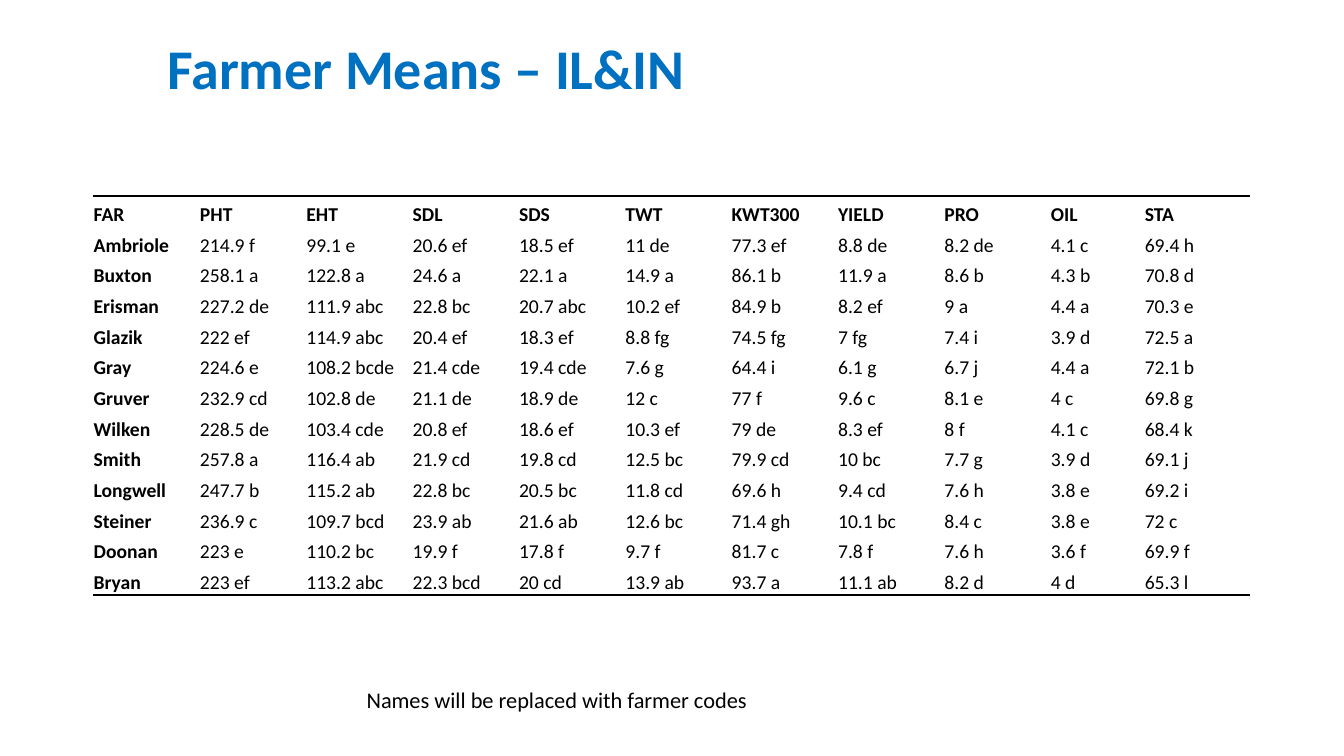
from lxml import etree
from pptx import Presentation
from pptx import util as u
from pptx.dml import color
from pptx.enum import text
from pptx.oxml import ns

COLORS = {"title": "0070C0", "ink": "000000", "paper": "FFFFFF"}
FONT = "Calibri"
NO_STYLE = "{2D5ABB26-0587-4C30-8999-92F81FD0307C}"
COLUMN_WIDTHS = [2.68] * 9 + [2.37, 2.68]
MEANS = [
    "FAR|PHT|EHT|SDL|SDS|TWT|KWT300|YIELD|PRO|OIL|STA",
    "Ambriole|214.9 f|99.1 e|20.6 ef|18.5 ef|11 de|77.3 ef|8.8 de|8.2 de|4.1 c|69.4 h",
    "Buxton|258.1 a|122.8 a|24.6 a|22.1 a|14.9 a|86.1 b|11.9 a|8.6 b|4.3 b|70.8 d",
    "Erisman|227.2 de|111.9 abc|22.8 bc|20.7 abc|10.2 ef|84.9 b|8.2 ef|9 a|4.4 a|70.3 e",
    "Glazik|222 ef|114.9 abc|20.4 ef|18.3 ef|8.8 fg|74.5 fg|7 fg|7.4 i|3.9 d|72.5 a",
    "Gray|224.6 e|108.2 bcde|21.4 cde|19.4 cde|7.6 g|64.4 i|6.1 g|6.7 j|4.4 a|72.1 b",
    "Gruver|232.9 cd|102.8 de|21.1 de|18.9 de|12 c|77 f|9.6 c|8.1 e|4 c|69.8 g",
    "Wilken|228.5 de|103.4 cde|20.8 ef|18.6 ef|10.3 ef|79 de|8.3 ef|8 f|4.1 c|68.4 k",
    "Smith|257.8 a|116.4 ab|21.9 cd|19.8 cd|12.5 bc|79.9 cd|10 bc|7.7 g|3.9 d|69.1 j",
    "Longwell|247.7 b|115.2 ab|22.8 bc|20.5 bc|11.8 cd|69.6 h|9.4 cd|7.6 h|3.8 e|69.2 i",
    "Steiner|236.9 c|109.7 bcd|23.9 ab|21.6 ab|12.6 bc|71.4 gh|10.1 bc|8.4 c|3.8 e|72 c",
    "Doonan|223 e|110.2 bc|19.9 f|17.8 f|9.7 f|81.7 c|7.8 f|7.6 h|3.6 f|69.9 f",
    "Bryan|223 ef|113.2 abc|22.3 bcd|20 cd|13.9 ab|93.7 a|11.1 ab|8.2 d|4 d|65.3 l",
]


def rgb(name):
    return color.RGBColor.from_string(COLORS[name])


def add_run(paragraph, words, size, ink="ink", bold=False):
    run = paragraph.add_run()
    run.text = words
    run.font.name = FONT
    run.font.size = u.Pt(size)
    run.font.bold = bold
    run.font.color.rgb = rgb(ink)


def add_text_box(slide, box):
    frame = slide.shapes.add_textbox(*map(u.Cm, box)).text_frame
    frame.word_wrap = True
    frame.vertical_anchor = text.MSO_ANCHOR.MIDDLE
    return frame.paragraphs[0]


def add_title(slide, box):
    paragraph = add_text_box(slide, box)
    paragraph.alignment = text.PP_ALIGN.CENTER
    paragraph.line_spacing = 0.8
    paragraph.space_after = u.Pt(6)
    add_run(paragraph, "Farmer Means – IL&IN ", 40, "title", True)


def add_note(slide, box):
    paragraph = add_text_box(slide, box)
    paragraph.line_spacing = 0.9
    paragraph.space_before = u.Pt(10)
    add_run(paragraph, "Names will be replaced with farmer codes", 16)


def add_rule(cell, side):
    line = etree.Element(ns.qn(f"a:{side}"), w=str(u.Pt(2)))
    fill = etree.SubElement(line, ns.qn("a:solidFill"))
    etree.SubElement(fill, ns.qn("a:srgbClr"), val=COLORS["ink"])
    cell._tc.get_or_add_tcPr().insert(0, line)


def fill_cell(cell, words, bold):
    cell.fill.solid()
    cell.fill.fore_color.rgb = rgb("paper")
    cell.vertical_anchor = text.MSO_ANCHOR.BOTTOM
    cell.margin_left = cell.margin_right = cell.margin_top = u.Cm(0.02)
    cell.margin_bottom = 0
    add_run(cell.text_frame.paragraphs[0], words, 14, bold=bold)


def add_means_table(slide, box):
    rows = [line.split("|") for line in MEANS]
    last = len(rows) - 1
    frame = slide.shapes.add_table(len(rows), len(rows[0]), *map(u.Cm, box))
    table = frame.table
    table.first_row = table.horz_banding = False
    table._tbl.tblPr.find(ns.qn("a:tableStyleId")).text = NO_STYLE
    for column, width in zip(table.columns, COLUMN_WIDTHS):
        column.width = u.Cm(width)
    for r, values in enumerate(rows):
        table.rows[r].height = u.Cm(box[3] / len(rows))
        for c, words in enumerate(values):
            cell = table.cell(r, c)
            fill_cell(cell, words, r == 0 or c == 0)
            if r == 0:
                add_rule(cell, "lnT")
            elif r == last:
                add_rule(cell, "lnB")


def main():
    presentation = Presentation()
    presentation.slide_width = u.Cm(33.87)
    presentation.slide_height = u.Cm(19.05)
    slide = presentation.slides.add_slide(presentation.slide_layouts[6])
    add_title(slide, (2.34, 0.97, 17.12, 1.75))
    add_note(slide, (8.99, 15.85, 11.56, 3.63))
    add_means_table(slide, (2.34, 4.94, sum(COLUMN_WIDTHS), 10.06))
    presentation.save("out.pptx")


if __name__ == "__main__":
    main()
